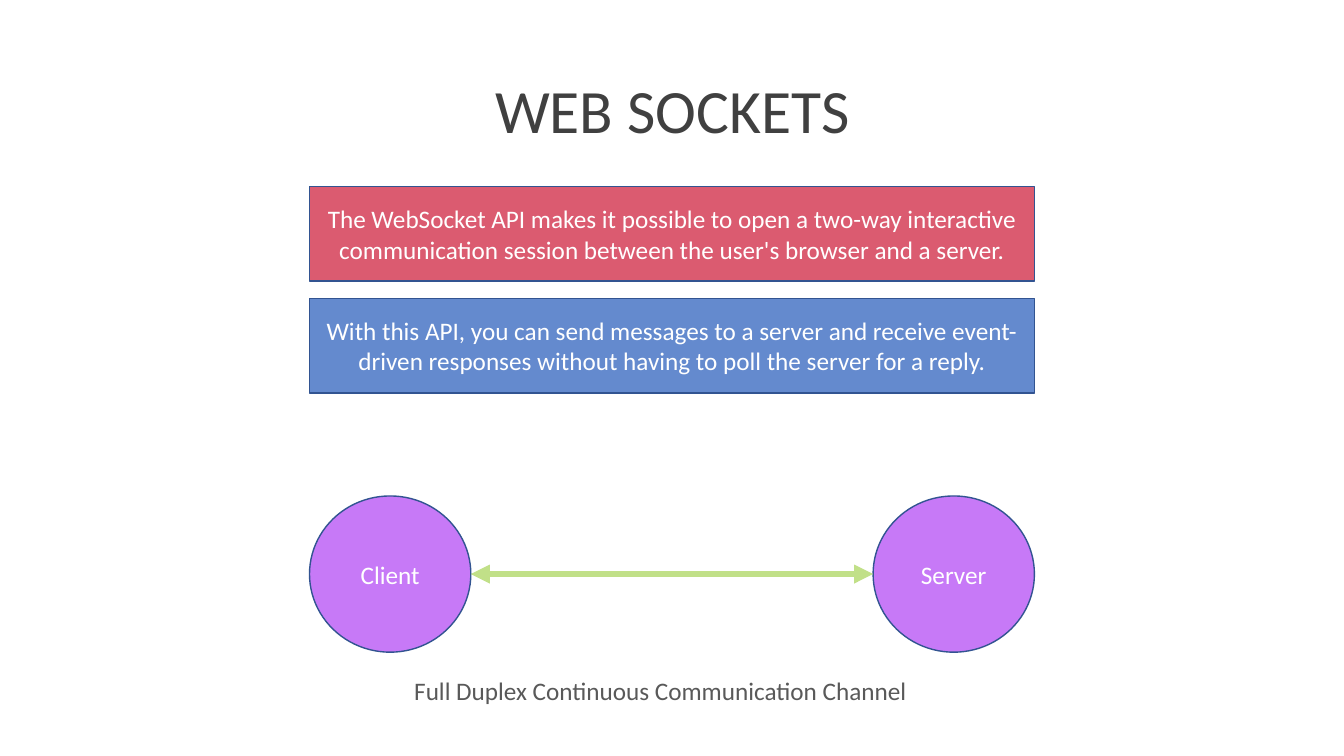
from lxml import etree
from pptx import Presentation
from pptx.dml.color import RGBColor
from pptx.enum import shapes, text
from pptx.oxml.ns import qn
from pptx.util import Inches, Pt

WHITE = RGBColor(0xFF, 0xFF, 0xFF)
TITLE_GREY = RGBColor(0x40, 0x40, 0x40)
CAPTION_GREY = RGBColor(0x59, 0x59, 0x59)
OUTLINE = RGBColor(0x32, 0x54, 0x91)
RED = RGBColor(0xDB, 0x5B, 0x70)
BLUE = RGBColor(0x64, 0x8A, 0xCE)
PURPLE = RGBColor(0xC7, 0x79, 0xF7)
GREEN = RGBColor(0xC1, 0xE0, 0x88)


class SlideBuilder:
    FONT = "Calibri"
    TEXT_SIZE = 18

    def __init__(self, slide):
        self.slide = slide

    def set_wording(self, frame, wording, color, size=TEXT_SIZE, align=text.PP_ALIGN.CENTER):
        frame.text = wording
        paragraph = frame.paragraphs[0]
        paragraph.alignment = align
        font = paragraph.runs[0].font
        font.name, font.size, font.color.rgb = self.FONT, Pt(size), color
        return paragraph

    def title(self, wording, left, top, width, height):
        heading = self.slide.shapes.title
        heading.left, heading.top = Inches(left), Inches(top)
        heading.width, heading.height = Inches(width), Inches(height)
        heading.text_frame.vertical_anchor = text.MSO_ANCHOR.MIDDLE
        self.set_wording(heading.text_frame, wording, TITLE_GREY, 44).line_spacing = 0.9

    def block(self, preset, wording, fill, left, top, width, height):
        block = self.slide.shapes.add_shape(
            preset, Inches(left), Inches(top), Inches(width), Inches(height))
        block.shadow.inherit = False
        block.fill.solid()
        block.fill.fore_color.rgb = fill
        block.line.color.rgb = OUTLINE
        block.line.width = Pt(1)
        block.text_frame.word_wrap = True
        block.text_frame.vertical_anchor = text.MSO_ANCHOR.MIDDLE
        self.set_wording(block.text_frame, wording, WHITE)

    def double_arrow(self, start, end, y):
        channel = self.slide.shapes.add_connector(
            shapes.MSO_CONNECTOR.STRAIGHT, Inches(start), Inches(y), Inches(end), Inches(y))
        channel.line.color.rgb = GREEN
        channel.line.width = Pt(4.5)
        properties = channel._element.spPr
        line = properties.find(qn("a:ln"))
        for arrowhead in ("a:headEnd", "a:tailEnd"):
            etree.SubElement(line, qn(arrowhead), type="triangle")
        etree.SubElement(properties, qn("a:effectLst"))

    def caption(self, wording, left, top, width, height):
        frame = self.slide.shapes.add_textbox(
            Inches(left), Inches(top), Inches(width), Inches(height)).text_frame
        frame.word_wrap = False
        frame.auto_size = text.MSO_AUTO_SIZE.SHAPE_TO_FIT_TEXT
        self.set_wording(frame, wording, CAPTION_GREY, align=text.PP_ALIGN.LEFT)


def main():
    deck = Presentation()
    deck.slide_width, deck.slide_height = Inches(13.33), Inches(7.5)
    title_only = deck.slide_layouts[5]
    builder = SlideBuilder(deck.slides.add_slide(title_only))

    left, width = 3.07, 7.19
    builder.title("WEB SOCKETS", 0.92, 0.4, 11.5, 1.45)

    statements = (
        ("The WebSocket API makes it possible to open a two-way interactive "
         "communication session between the user's browser and a server.", RED),
        ("With this API, you can send messages to a server and receive "
         "event-driven responses without having to poll the server for a reply.", BLUE),
    )
    for row, (statement, fill) in enumerate(statements):
        builder.block(shapes.MSO_SHAPE.RECTANGLE, statement, fill,
                      left, 1.85 + row * 1.11, width, 0.94)

    node_top, node_width, node_height = 4.92, 1.6, 1.55
    server_left = left + width - node_width
    for node, node_left in (("Client", left), ("Server", server_left)):
        builder.block(shapes.MSO_SHAPE.OVAL, node, PURPLE,
                      node_left, node_top, node_width, node_height)
    builder.double_arrow(left + node_width, server_left, node_top + node_height / 2)

    builder.caption("Full Duplex Continuous Communication Channel", 4.01, 6.65, 5.15, 0.4)
    deck.save("out.pptx")


if __name__ == "__main__":
    main()
